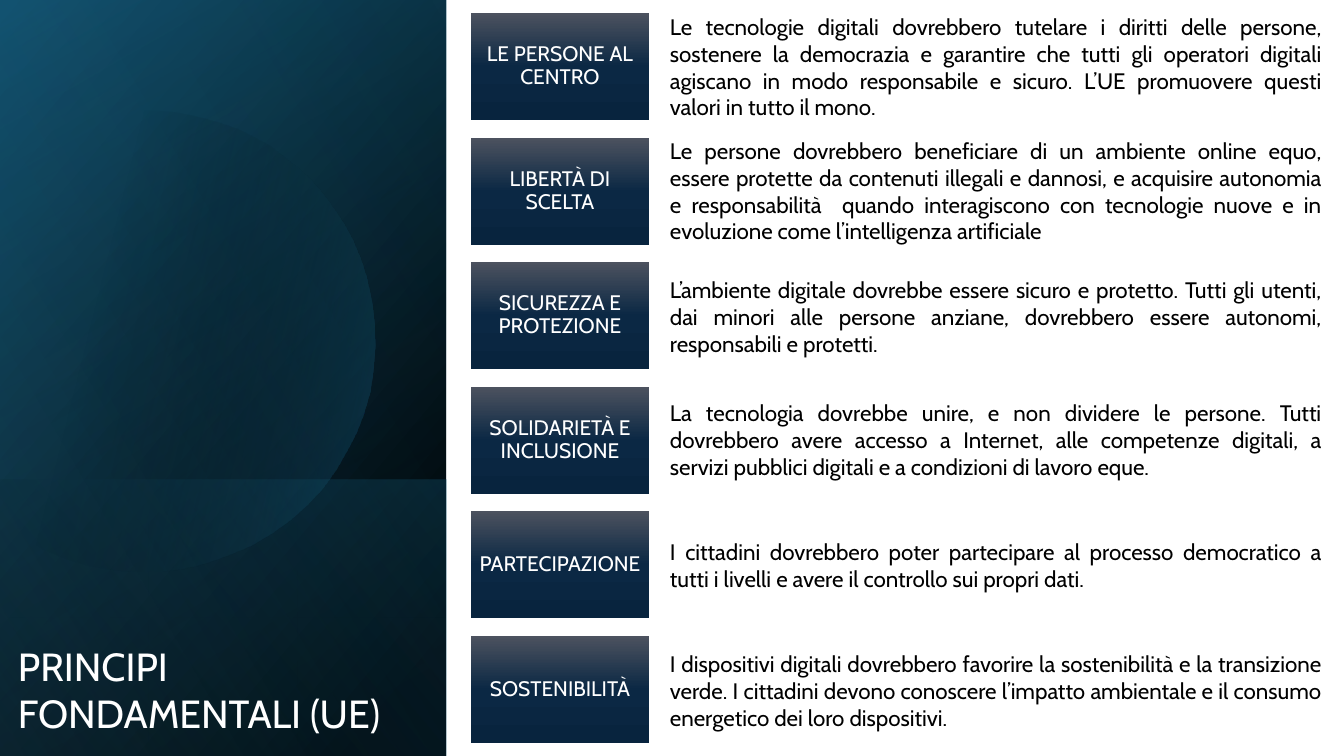
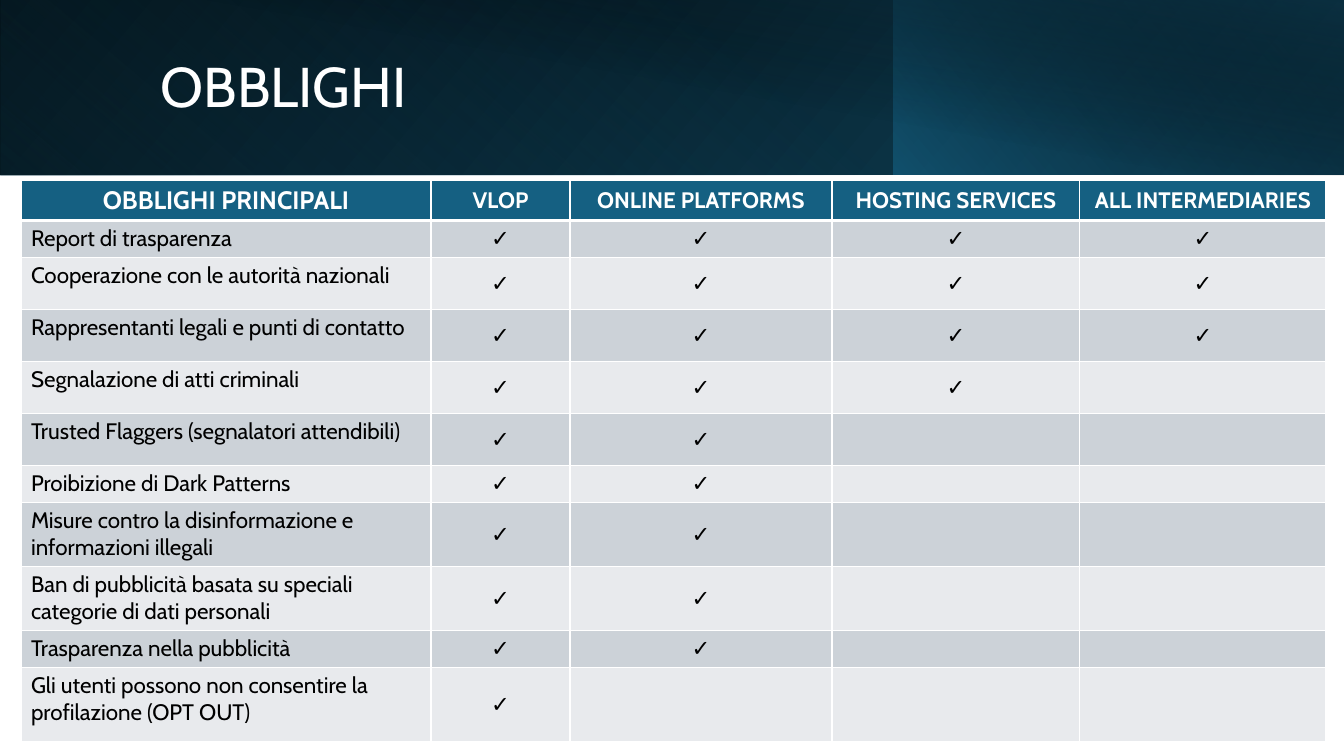
from lxml.etree import SubElement
from pptx import Presentation
from pptx.dml.color import RGBColor
from pptx.enum.shapes import MSO_SHAPE
from pptx.enum.text import MSO_ANCHOR, MSO_AUTO_SIZE, PP_ALIGN
from pptx.oxml.ns import qn
from pptx.util import Emu, Pt

EMU_PER_PX = 914400 / 100.8
FONT = "Cabin"
BLACK = RGBColor(0x00, 0x00, 0x00)
WHITE = RGBColor(0xFF, 0xFF, 0xFF)
TEAL = RGBColor(0x15, 0x60, 0x82)
DEEP_TEAL = RGBColor(0x10, 0x48, 0x62)
DARK_TEAL = RGBColor(0x0B, 0x30, 0x41)
SKY = RGBColor(0x46, 0xB1, 0xE1)
SLATE = RGBColor(0x4C, 0x52, 0x5F)
NAVY = RGBColor(0x0B, 0x28, 0x44)
DEEP_NAVY = RGBColor(0x08, 0x24, 0x3E)
ROW_FILLS = (RGBColor(0xCC, 0xD2, 0xD8), RGBColor(0xE8, 0xEA, 0xED))

LABEL_STYLE = {"size": Pt(15), "color": WHITE}
BODY_STYLE = {"size": Pt(16), "color": BLACK}
PANEL_TITLE_STYLE = {"size": Pt(28), "color": WHITE}
BAND_TITLE_STYLE = {"size": Pt(40), "color": WHITE}
HEADER_STYLE = {"size": Pt(16), "color": WHITE, "bold": True}
FIRST_HEADER_STYLE = {**HEADER_STYLE, "size": Pt(18)}

PANEL = (0, 0, 446, 756)
PANEL_BACK = [
    (PANEL, 90, True, [(8, BLACK, 100), (100, DEEP_TEAL, 100)], 50),
    (PANEL, 90, True, [(0, BLACK, 0), (99, TEAL, 46)], 30),
    ((0, 480, 446, 276), 90, True, [(2, TEAL, 29), (100, BLACK, 30)], 130),
]
PANEL_GLOW = (PANEL, 90, True, [(0, BLACK, 0), (99, SKY, 11)], 120)
DISC_START = (150, 111)
DISC_CURVES = [
    [(248, 113), (338, 178), (366, 277)],
    [(401, 400), (331, 527), (209, 562)],
    [(132, 585), (53, 566), (0, 521)],
    [(0, 521), (0, 162), (0, 162)],
    [(23, 143), (50, 129), (81, 120)],
    [(104, 114), (127, 111), (150, 111)],
]
DISC_STOPS = [(29, BLACK, 0), (100, TEAL, 43)]
TOP_BANDS = [
    ((0, 0, 1344, 175), 0, True, [(0, BLACK, 100), (100, DEEP_TEAL, 100)], 140),
    ((0, 0, 895, 175), 180, True, [(20, TEAL, 0), (100, DARK_TEAL, 55)], 230),
    ((894, 0, 450, 175), 0, True, [(0, TEAL, 66), (100, BLACK, 30)], 220),
    ((50, 0, 1294, 176), 0, False, [(50, BLACK, 0), (99, DARK_TEAL, 52)], 280),
]
LABEL_STOPS = [(0, SLATE, 100), (50, NAVY, 100), (100, DEEP_NAVY, 100)]
LABEL_TOP, LABEL_PITCH = 13, 124.6

PRINCIPLES = [
    ("LE PERSONE AL CENTRO", 8, 4, "Le tecnologie digitali dovrebbero tutelare i diritti delle persone, sostenere la democrazia e garantire che tutti gli operatori digitali agiscano in modo responsabile e sicuro. L’UE promuovere questi valori in tutto il mono."),
    ("LIBERTÀ DI SCELTA", 132, 4, "Le persone dovrebbero beneficiare di un ambiente online equo, essere protette da contenuti illegali e dannosi, e acquisire autonomia e responsabilità  quando interagiscono con tecnologie nuove e in evoluzione come l’intelligenza artificiale"),
    ("SICUREZZA E PROTEZIONE", 271, 3, "L’ambiente digitale dovrebbe essere sicuro e protetto. Tutti gli utenti, dai minori alle persone anziane, dovrebbero essere autonomi, responsabili e protetti."),
    ("SOLIDARIETÀ E INCLUSIONE", 394, 3, "La tecnologia dovrebbe unire, e non dividere le persone. Tutti dovrebbero avere accesso a Internet, alle competenze digitali, a servizi pubblici digitali e a condizioni di lavoro eque."),
    ("PARTECIPAZIONE", 533, 2, "I cittadini dovrebbero poter partecipare al processo democratico a tutti i livelli e avere il controllo sui propri dati."),
    ("SOSTENIBILITÀ", 645, 3, "I dispositivi digitali dovrebbero favorire la sostenibilità e la transizione verde. I cittadini devono conoscere l’impatto ambientale e il consumo energetico dei loro dispositivi."),
]

HEADERS = ["OBBLIGHI PRINCIPALI", "VLOP", "ONLINE PLATFORMS", "HOSTING SERVICES", "ALL INTERMEDIARIES"]
COLUMN_WIDTHS = [410, 139, 262, 248, 246]
HEADER_HEIGHT = 39
OBLIGATIONS = [
    ("Report di trasparenza", 4, 37),
    ("Cooperazione con le autorità nazionali", 4, 52),
    ("Rappresentanti legali e punti di contatto", 4, 52),
    ("Segnalazione di atti criminali", 3, 52),
    ("Trusted Flaggers (segnalatori attendibili)", 2, 52),
    ("Proibizione di Dark Patterns", 2, 37),
    ("Misure contro la disinformazione e informazioni illegali", 2, 64),
    ("Ban di pubblicità basata su speciali categorie di dati personali", 2, 64),
    ("Trasparenza nella pubblicità", 2, 37),
    ("Gli utenti possono non consentire la profilazione (OPT OUT)", 1, 74),
]


def px(length):
    return Emu(round(length * EMU_PER_PX))


def add_color(parent, color, opacity=100):
    element = SubElement(parent, qn("a:srgbClr"), val=str(color))
    if opacity < 100:
        SubElement(element, qn("a:alpha"), val=str(opacity * 1000))


def paint_gradient(shape, stops, angle):
    gradient = SubElement(shape._element.spPr, qn("a:gradFill"), rotWithShape="1")
    stop_list = SubElement(gradient, qn("a:gsLst"))
    for position, color, opacity in stops:
        stop = SubElement(stop_list, qn("a:gs"), pos=str(position * 1000))
        add_color(stop, color, opacity)
    SubElement(gradient, qn("a:lin"), ang=str(angle * 60000), scaled="0")
    shape.line.fill.background()
    shape.shadow.inherit = False


def add_band(slide, box, rotation, flipped, stops, angle):
    left, top, width, height = box
    if rotation == 90:
        left, top = left + (width - height) / 2, top + (height - width) / 2
        width, height = height, width
    shape = slide.shapes.add_shape(MSO_SHAPE.RECTANGLE, *map(px, (left, top, width, height)))
    shape.rotation = rotation
    if flipped:
        shape._element.spPr.find(qn("a:xfrm")).set("flipH", "1")
    paint_gradient(shape, stops, angle)
    return shape


def curve_points(start, first, second, end, steps=16):
    for step in range(1, steps + 1):
        t = step / steps
        weights = ((1 - t) ** 3, 3 * t * (1 - t) ** 2, 3 * t * t * (1 - t), t ** 3)
        yield tuple(sum(w * p[axis] for w, p in zip(weights, (start, first, second, end)))
                    for axis in (0, 1))


def add_disc(slide):
    points = [DISC_START]
    for curve in DISC_CURVES:
        points.extend(curve_points(points[-1], *curve))
    builder = slide.shapes.build_freeform(*DISC_START, scale=EMU_PER_PX)
    builder.add_line_segments(points[1:], close=True)
    paint_gradient(builder.convert_to_shape(), DISC_STOPS, 14)


def write(frame, lines, style, **paragraph_format):
    for index, line in enumerate(lines):
        paragraph = frame.paragraphs[0] if index == 0 else frame.add_paragraph()
        for name, value in paragraph_format.items():
            setattr(paragraph, name, value)
        run = paragraph.add_run()
        run.text = line
        run.font.name = FONT
        for name, value in style.items():
            if name == "color":
                run.font.color.rgb = value
            else:
                setattr(run.font, name, value)


def add_text(slide, box, lines, style, frame_format, **paragraph_format):
    frame = slide.shapes.add_textbox(*map(px, box)).text_frame
    for name, value in {"word_wrap": True, **frame_format}.items():
        setattr(frame, name, value)
    write(frame, lines, style, **paragraph_format)


def format_cell(cell, fill, bottom_width=1):
    properties = cell._tc.get_or_add_tcPr()
    for side, width in (("L", 1), ("R", 1), ("T", 1), ("B", bottom_width)):
        border = SubElement(properties, qn("a:ln" + side), w=str(Pt(width)))
        add_color(SubElement(border, qn("a:solidFill")), WHITE)
    cell.fill.solid()
    cell.fill.fore_color.rgb = fill


def build_principles(slide):
    for band in PANEL_BACK:
        add_band(slide, *band)
    add_disc(slide)
    add_band(slide, *PANEL_GLOW)
    grow = {"auto_size": MSO_AUTO_SIZE.SHAPE_TO_FIT_TEXT}
    for index, (label, text_top, line_count, text) in enumerate(PRINCIPLES):
        top = LABEL_TOP + round(index * LABEL_PITCH)
        frame = add_band(slide, (471, top, 178, 107), 0, False, LABEL_STOPS, 90).text_frame
        frame.word_wrap = True
        frame.vertical_anchor = MSO_ANCHOR.MIDDLE
        for side in ("left", "right", "top", "bottom"):
            setattr(frame, "margin_" + side, px(6))
        write(frame, [label], LABEL_STYLE, alignment=PP_ALIGN.CENTER, line_spacing=0.9)
        add_text(slide, (660, text_top, 672, 11 + 27 * line_count), [text], BODY_STYLE,
                 grow, alignment=PP_ALIGN.JUSTIFY)
    add_text(slide, (8, 637, 421, 105), ["PRINCIPI", "FONDAMENTALI (UE)"], PANEL_TITLE_STYLE, grow)


def build_obligations(slide):
    for band in TOP_BANDS:
        add_band(slide, *band)
    add_text(slide, (151, 32, 1091, 114), ["OBBLIGHI"], BAND_TITLE_STYLE,
             {"vertical_anchor": MSO_ANCHOR.MIDDLE}, line_spacing=0.9)
    heights = [HEADER_HEIGHT] + [height for _, _, height in OBLIGATIONS]
    box = (21, 180, sum(COLUMN_WIDTHS), sum(heights))
    table = slide.shapes.add_table(len(heights), len(HEADERS), *map(px, box)).table
    table.horz_banding = False
    for column, width in zip(table.columns, COLUMN_WIDTHS):
        column.width = px(width)
    for row, height in zip(table.rows, heights):
        row.height = px(height)
    for column, header in enumerate(HEADERS):
        cell = table.cell(0, column)
        format_cell(cell, TEAL, 3)
        cell.vertical_anchor = MSO_ANCHOR.MIDDLE
        write(cell.text_frame, [header], HEADER_STYLE if column else FIRST_HEADER_STYLE,
              alignment=PP_ALIGN.CENTER)
    for row, (obligation, check_count, _) in enumerate(OBLIGATIONS, 1):
        for column in range(len(HEADERS)):
            cell = table.cell(row, column)
            format_cell(cell, ROW_FILLS[(row - 1) % 2])
            if column == 0:
                write(cell.text_frame, [obligation], BODY_STYLE)
            elif column <= check_count:
                cell.vertical_anchor = MSO_ANCHOR.MIDDLE
                write(cell.text_frame, ["✓"], BODY_STYLE, alignment=PP_ALIGN.CENTER)
            else:
                SubElement(cell.text_frame.paragraphs[0]._p, qn("a:endParaRPr"), sz="1600")


def main():
    presentation = Presentation()
    presentation.slide_width, presentation.slide_height = px(1344), px(756)
    for build in (build_principles, build_obligations):
        build(presentation.slides.add_slide(presentation.slide_layouts[6]))
    presentation.save("out.pptx")


if __name__ == "__main__":
    main()
